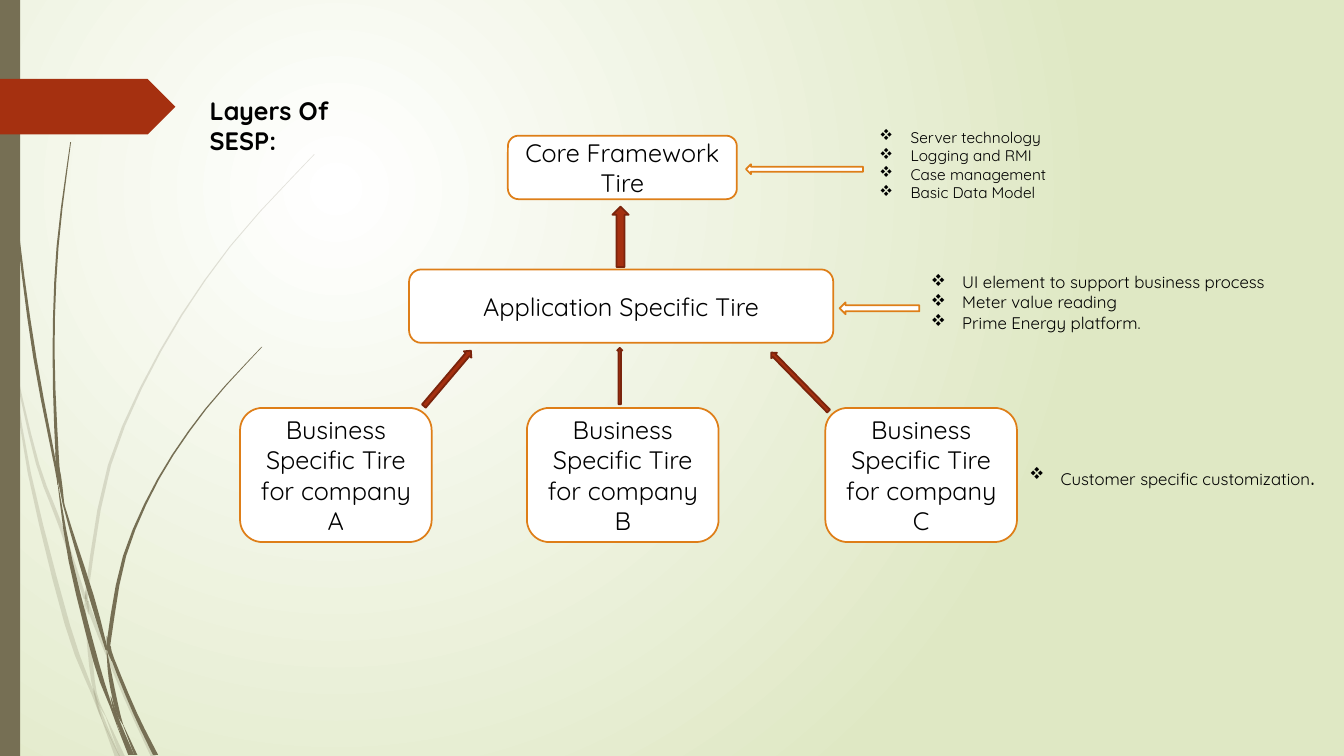
from dataclasses import dataclass

from lxml.etree import SubElement
from pptx import Presentation
from pptx.dml.color import RGBColor
from pptx.enum.shapes import MSO_SHAPE as Shape
from pptx.enum.text import MSO_ANCHOR as Anchor, MSO_AUTO_SIZE as AutoSize, PP_ALIGN as Align
from pptx.oxml.ns import qn
from pptx.util import Cm, Pt


@dataclass(frozen=True)
class Theme:
    """Colours, font and type sizes of the slide."""
    white: str = "FFFFFF"
    black: str = "000000"
    meadow: str = "DFE8C4"
    olive: str = "766F54"
    rust: str = "A53010"
    dark_rust: str = "7A240C"
    orange: str = "DE7E18"
    font: str = "Quicksand"
    heading: int = 18
    note: int = 12
    small_note: int = 11
    outline: float = 1.25


THEME = Theme()

# Blades of grass: centre x, centre y and width in cm
PALE_BLADES = [
    [(0, 7.37, .05), (.23, 8.46, .05), (.28, 8.89, .01)],
    [(.36, 8.76, .01), (.41, 9.4, .04), (.95, 11.7, .08), (1.52, 13.23, .1), (2.15, 15.1, .08)],
    [(2.24, 15.14, .01), (2.29, 15.45, .1), (3.18, 17.6, .1), (3.87, 19.07, .13)],
    [(2.67, 18.06, .01), (3.09, 19.07, .13)],
    [(.28, 8.89, .01), (.74, 11.92, .08), (1.7, 15.75, .13), (2.35, 17.5, .08), (2.57, 18.14, .01)],
    [(2.13, 15.21, .01), (2.26, 16.41, .1), (2.4, 17.46, .08), (2.67, 18.06, .01)],
    [(7.92, 3.89, .02), (5.8, 6.21, .03), (4.04, 8.85, .05), (2.76, 11.72, .08),
     (2.2, 14.83, .08), (2.23, 15.14, .01)],
    [(2.57, 18.14, .01), (2.96, 19.07, .13)],
    [(2.16, 14.88, .01), (2.18, 15.2, .1), (2.24, 15.49, .01)],
    [(2.36, 17.35, .01), (2.53, 17.96, .08), (3.02, 19.07, .02)],
]
DARK_BLADES = [
    [(.09, 0, .03), (.19, 2.79, .03), (.46, 5.92, .05), (.88, 9.02, .08), (1.41, 11.8, .06),
     (1.45, 12.22, .01)],
    [(1.52, 11.99, .01), (1.6, 12.7, .04), (2.3, 15.01, .13), (2.69, 16.38, .06)],
    [(2.79, 16.28, .01), (2.84, 16.6, .08), (3.4, 17.96, .1), (3.92, 19.02, .13)],
    [(1.45, 12.12, .01), (1.78, 14.14, .1), (2.43, 16.71, .13), (2.8, 17.8, .06), (2.97, 18.34, .01)],
    [(1.78, 3.58, .02), (1.45, 6.22, .05), (1.35, 8.86, .05), (1.44, 11.46, .08), (1.52, 11.99, .01)],
    [(3.1, 18.26, .01), (3.42, 19.02, .08)],
    [(1.4, 11.4, .01), (1.49, 12, .1), (1.63, 12.83, .01)],
    [(6.6, 8.74, .02), (5.19, 10.3, .04), (3.99, 12.07, .05), (3.14, 14.01, .08),
     (2.76, 16.05, .1), (2.79, 16.28, .01)],
    [(2.97, 18.34, .01), (3.28, 19.02, .1)],
    [(2.69, 16.38, .01), (2.79, 17.1, .1), (2.96, 17.9, .1), (3.1, 18.26, .01)],
    [(2.69, 16.03, .01), (2.75, 16.38, .1), (2.82, 16.66, .01)],
    [(2.79, 17.55, .01), (2.98, 18.2, .1), (3.34, 19.02, .08)],
]


def apply(target, **values):
    """Set each given attribute on the target."""
    for name, value in values.items():
        setattr(target, name, value)


def inside(box, left, top, width, height):
    """Return a box placed relative to the corner of another."""
    return box[0] + left, box[1] + top, width, height


def style_font(font, size, bold=False):
    """Give a font the theme's face and colour."""
    apply(font, name=THEME.font, size=Pt(size), bold=bold)
    font.color.rgb = RGBColor.from_string(THEME.black)


def paint(shape, fill, line=None):
    """Set the fill and outline of a shape and drop its shadow."""
    shape.shadow.inherit = False
    shape.fill.solid()
    shape.fill.fore_color.rgb = RGBColor.from_string(fill)
    if line:
        shape.line.color.rgb = RGBColor.from_string(line)
        shape.line.width = Pt(THEME.outline)
    else:
        shape.line.fill.background()


def add_preset(slide, kind, box, fill, line=None, rotation=0):
    """Add a painted preset shape."""
    shape = slide.shapes.add_shape(kind, *map(Cm, box))
    shape.rotation = rotation
    paint(shape, fill, line)
    return shape


def smooth_path(points, steps=3):
    """Return points on a Catmull-Rom curve through the given ones."""
    padded = [points[0], *points, points[-1]]
    curve = []
    for a, b, c, d in zip(padded, padded[1:], padded[2:], padded[3:]):
        for t in (step / steps for step in range(steps)):
            curve.append([q + .5 * t * (r - p + t * (2 * p - 5 * q + 4 * r - s
                                                     + t * (3 * (q - r) + s - p)))
                          for p, q, r, s in zip(a, b, c, d)])
    return [*curve, points[-1]]


def add_blades(slide, box, blades, opacity=100):
    """Draw tapered blades of grass in the box."""
    for blade in blades:
        curve = smooth_path(blade)
        right = [(x + width / 2, y) for x, y, width in curve]
        left = [(x - width / 2, y) for x, y, width in reversed(curve)]
        outline = [(Cm(box[0] + x), Cm(box[1] + y)) for x, y in right + left]
        builder = slide.shapes.build_freeform(*outline[0])
        builder.add_line_segments(outline[1:])
        shape = builder.convert_to_shape()
        paint(shape, THEME.olive)
        if opacity < 100:
            color = shape.element.spPr.find(qn("a:solidFill"))[0]
            SubElement(color, qn("a:alpha"), val=str(opacity * 1000))


def add_backdrop(slide, box):
    """Lay the gradient, the grass, the side bar and the banner."""
    fill = slide.background.fill
    fill.gradient()
    for stop, color in zip(fill.gradient_stops, (THEME.white, THEME.meadow)):
        stop.color.rgb = RGBColor.from_string(color)
    gradient = slide.element.find(".//" + qn("a:gradFill"))
    gradient.remove(gradient.find(qn("a:lin")))
    circle = SubElement(gradient, qn("a:path"), path="circle")
    SubElement(circle, qn("a:fillToRect"), l="50000", t="50000", r="100000", b="100000")
    add_blades(slide, box, PALE_BLADES, opacity=20)
    add_blades(slide, box, DARK_BLADES)
    add_preset(slide, Shape.RECTANGLE, inside(box, 0, 0, .51, box[3]), THEME.olive)
    add_preset(slide, Shape.PENTAGON, inside(box, 0, 1.99, 4.42, 1.4), THEME.rust)


def add_title(slide, box, text):
    """Move the title placeholder into the box and format it."""
    title = slide.shapes.title
    apply(title, **dict(zip(("left", "top", "width", "height"), map(Cm, box))))
    frame = title.text_frame
    frame.text = text
    apply(frame, word_wrap=True, auto_size=AutoSize.NONE, vertical_anchor=Anchor.TOP,
          margin_right=Cm(1))
    frame.paragraphs[0].alignment = Align.LEFT
    style_font(frame.paragraphs[0].runs[0].font, THEME.heading, bold=True)


def add_tier(slide, box, text):
    """Add a rounded box with centred text."""
    shape = add_preset(slide, Shape.ROUNDED_RECTANGLE, box, THEME.white, THEME.orange)
    frame = shape.text_frame
    frame.text = text
    apply(frame, word_wrap=True, vertical_anchor=Anchor.MIDDLE)
    for paragraph in frame.paragraphs:
        paragraph.alignment = Align.CENTER
        style_font(paragraph.runs[0].font, THEME.heading)


def add_layers(slide, box):
    """Stack the three layers and the arrows between them."""
    add_tier(slide, inside(box, 6.75, 0, 5.77, 1.6), "Core Framework Tire")
    add_tier(slide, inside(box, 4.26, 3.37, 10.69, 1.85), "Application Specific Tire")
    for left, ending in ((0, " for company A"), (7.23, "\nfor company B"), (14.75, " for company C")):
        add_tier(slide, inside(box, left, 6.86, 4.83, 3.38), "Business Specific Tire" + ending)
    for *place, rotation in ((8.83, 2.34, 1.52, .41, 270), (4.31, 5.99, 1.83, .25, 310.3),
                             (8.86, 5.99, 1.42, .13, 270), (13.08, 6.1, 2.06, .2, 225.6)):
        add_preset(slide, Shape.RIGHT_ARROW, inside(box, *place), THEME.rust,
                   THEME.dark_rust, rotation)


def add_note(slide, box, lines, size, pointer=None):
    """Add a bulleted list and the arrow pointing left from it."""
    frame = slide.shapes.add_textbox(*map(Cm, box)).text_frame
    frame.text = "\n".join(lines)
    frame.word_wrap = True
    for paragraph in frame.paragraphs:
        style_font(paragraph.runs[0].font, size)
        properties = paragraph._p.get_or_add_pPr()
        properties.set("marL", str(Cm(.79)))
        properties.set("indent", str(Cm(-.79)))
        SubElement(properties, qn("a:buFont"), typeface="Wingdings", charset="2")
        SubElement(properties, qn("a:buChar"), char="v")
    if pointer:
        add_preset(slide, Shape.LEFT_ARROW, inside(box, *pointer), THEME.white, THEME.orange)
    return frame


def build_slide(presentation):
    """Build the slide on the layers."""
    slide = presentation.slides.add_slide(presentation.slide_layouts[5])
    add_backdrop(slide, (0, 0, 33.87, 19.05))
    add_title(slide, (5.03, 2.27, 5.28, 1.02), "Layers Of SESP:")
    add_layers(slide, (6.05, 3.42, 19.58, 10.24))
    add_note(slide, (21.91, 3.1, 5.08, 2.13),
             ["Server technology", "Logging and RMI", "Case management", "Basic Data Model"],
             THEME.small_note, (-3.11, 1.04, 2.95, .25))
    add_note(slide, (23.21, 6.73, 9.25, 1.8),
             ["UI element to support business process", "Meter value reading",
              "Prime Energy platform."], THEME.note, (-2.05, .89, 2.01, .3))
    customization = add_note(slide, (25.69, 11.48, 8.18, 1.02),
                             ["Customer specific customization"], THEME.note)
    full_stop = customization.paragraphs[0].add_run()
    full_stop.text = "."
    style_font(full_stop.font, THEME.heading)


presentation = Presentation()
apply(presentation, slide_width=Cm(33.87), slide_height=Cm(19.05))
build_slide(presentation)
presentation.save("out.pptx")
